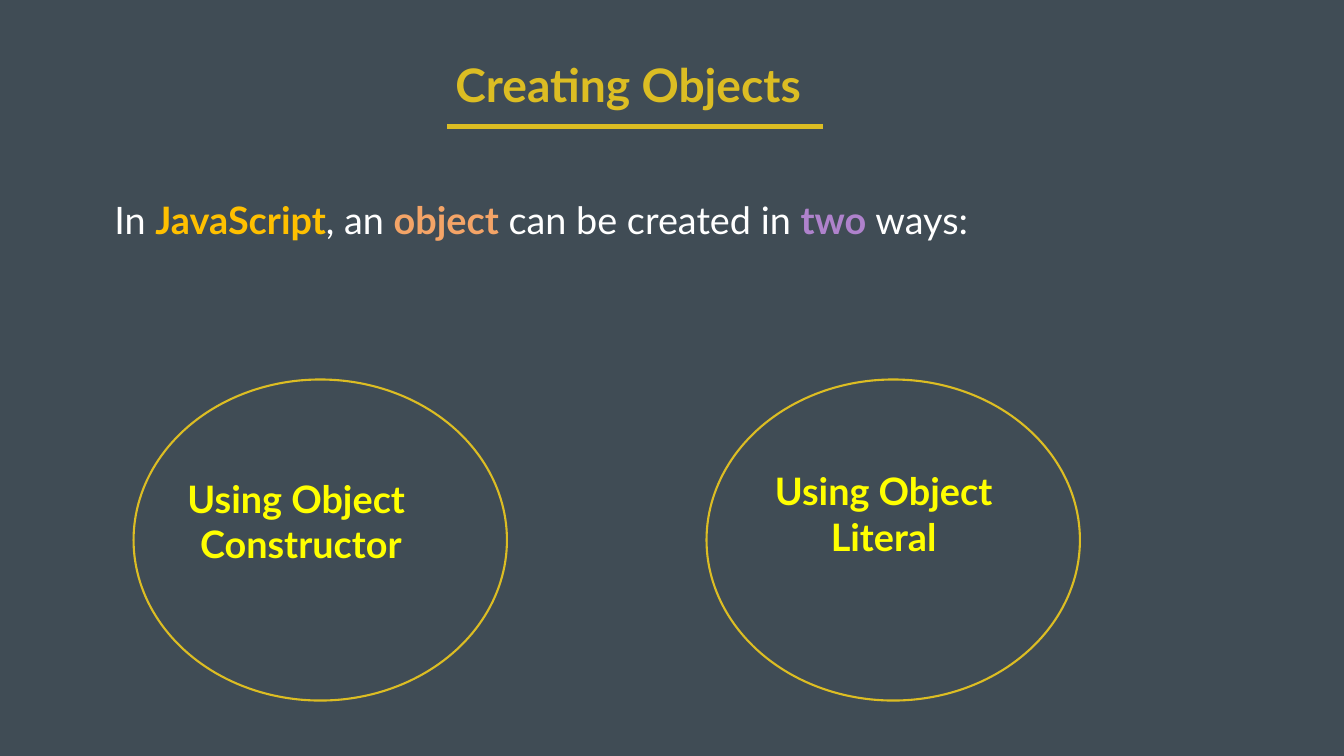
from pptx import Presentation
from pptx.dml.color import RGBColor
from pptx.enum.shapes import MSO_CONNECTOR as Connector, MSO_SHAPE as Shape
from pptx.enum.text import MSO_ANCHOR as Anchor, MSO_AUTO_SIZE as AutoSize, PP_ALIGN as Align
from pptx.oxml.ns import qn
from pptx.util import Inches, Pt

BACKGROUND, GOLD, WHITE, YELLOW = "404C55", "DCBD23", "FFFFFF", "FFFF00"
FONT = "Lato"

TITLE = "Creating Objects"
INTRO = [
    ("In ", WHITE, False),
    ("JavaScript", "FFC000", True),
    (", an ", WHITE, False),
    ("object", "F4A467", True),
    (" can be created in ", WHITE, False),
    ("two", "AF82CC", True),
    (" ways:", WHITE, False),
]
WAYS = [
    (2.65, (3.43, 9.39, 5.08, 1.92), ["Using Object ", "Constructor"]),
    (14.02, (15.1, 9.24, 4.87, 1.92), ["Using Object", "Literal"]),
]
CIRCLE_TOP, CIRCLE_WIDTH, CIRCLE_HEIGHT = 7.53, 7.41, 6.37
HANGING = 0.56


def color(value):
    return RGBColor.from_string(value)


def add_text_frame(slide, box, wrap=True):
    frame = slide.shapes.add_textbox(*map(Inches, box)).text_frame
    frame.word_wrap = wrap
    frame.auto_size = AutoSize.SHAPE_TO_FIT_TEXT
    return frame


def set_font(font, size, fill, bold):
    font.name = FONT
    font.size = Pt(size)
    font.bold = bold
    font.color.rgb = color(fill)


def set_line(line, width):
    line.color.rgb = color(GOLD)
    line.width = Pt(width)


def add_title(slide):
    frame = add_text_frame(slide, (5, 1.33, 14.93, 0.89))
    frame.vertical_anchor = Anchor.MIDDLE
    frame.margin_left = frame.margin_right = frame.margin_top = frame.margin_bottom = 0
    title = frame.paragraphs[0]
    title.text = TITLE
    title.alignment = Align.CENTER
    title.line_spacing = 0.8
    set_font(title.font, 66, GOLD, True)

    underline = slide.shapes.add_connector(
        Connector.STRAIGHT, Inches(8.87), Inches(2.51), Inches(16.34), Inches(2.51))
    set_line(underline.line, 8)
    properties = underline._element.spPr
    properties.append(properties.makeelement(qn("a:effectLst"), {}))


def add_intro(slide):
    intro = add_text_frame(slide, (2.17, 3.85, 24.05, 1.01)).paragraphs[0]
    for words, fill, bold in INTRO:
        run = intro.add_run()
        run.text = words
        set_font(run.font, 54, fill, bold)


def add_way(slide, circle_left, label_box, label_lines):
    frame = add_text_frame(slide, label_box, wrap=False)
    frame.text = "\n".join(label_lines)
    for label in frame.paragraphs:
        label.alignment = Align.CENTER
        set_font(label.font, 54, YELLOW, True)
        properties = label._p.get_or_add_pPr()
        properties.set("marL", str(Inches(HANGING)))
        properties.set("indent", str(-Inches(HANGING)))

    circle = slide.shapes.add_shape(
        Shape.OVAL, *map(Inches, (circle_left, CIRCLE_TOP, CIRCLE_WIDTH, CIRCLE_HEIGHT)))
    circle.shadow.inherit = False
    circle.fill.background()
    set_line(circle.line, 3)


def main():
    deck = Presentation()
    deck.slide_width, deck.slide_height = Inches(26.67), Inches(15)
    slide = deck.slides.add_slide(deck.slide_layouts[6])
    slide.background.fill.solid()
    slide.background.fill.fore_color.rgb = color(BACKGROUND)
    add_title(slide)
    add_intro(slide)
    for way in WAYS:
        add_way(slide, *way)
    deck.save("out.pptx")


if __name__ == "__main__":
    main()
